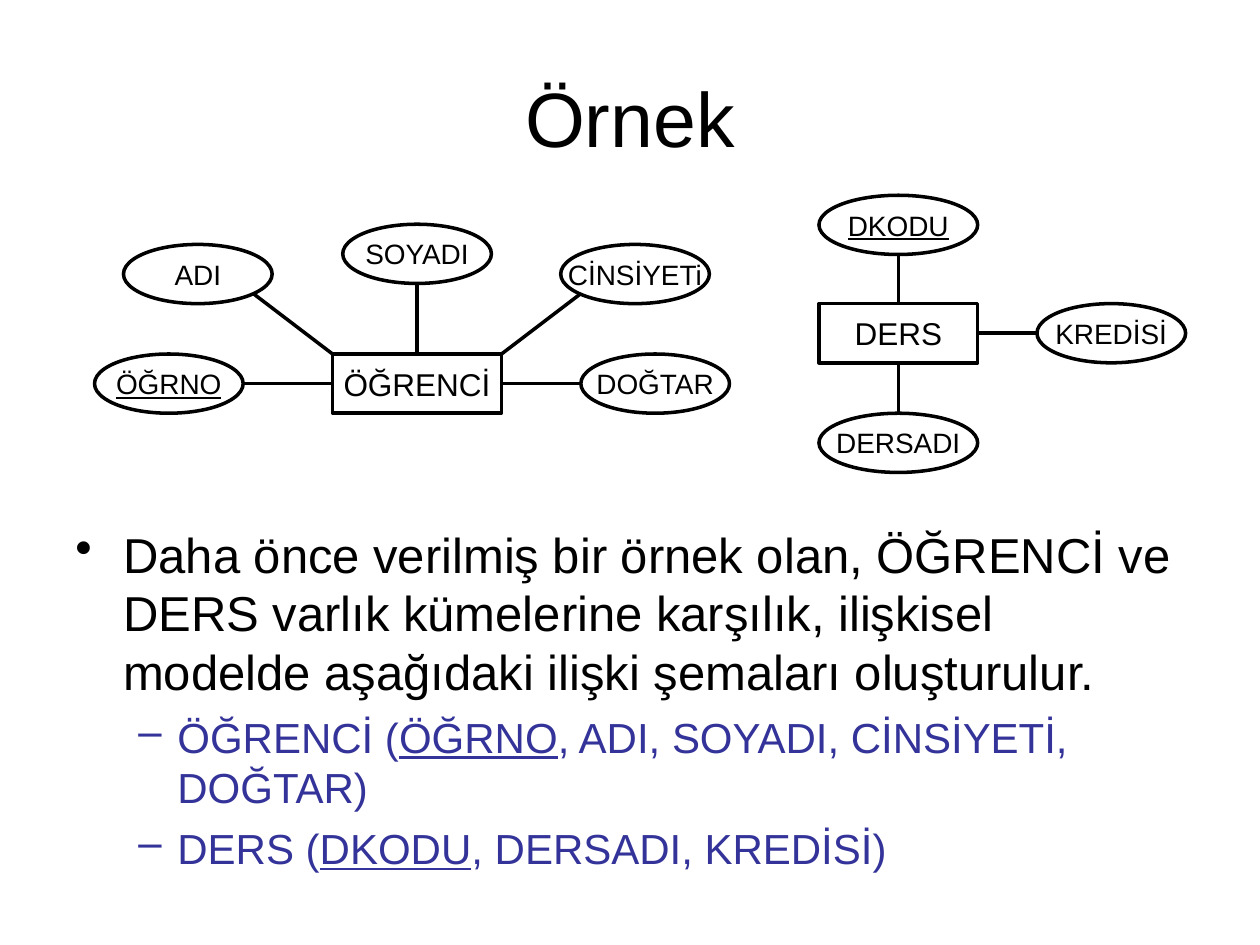
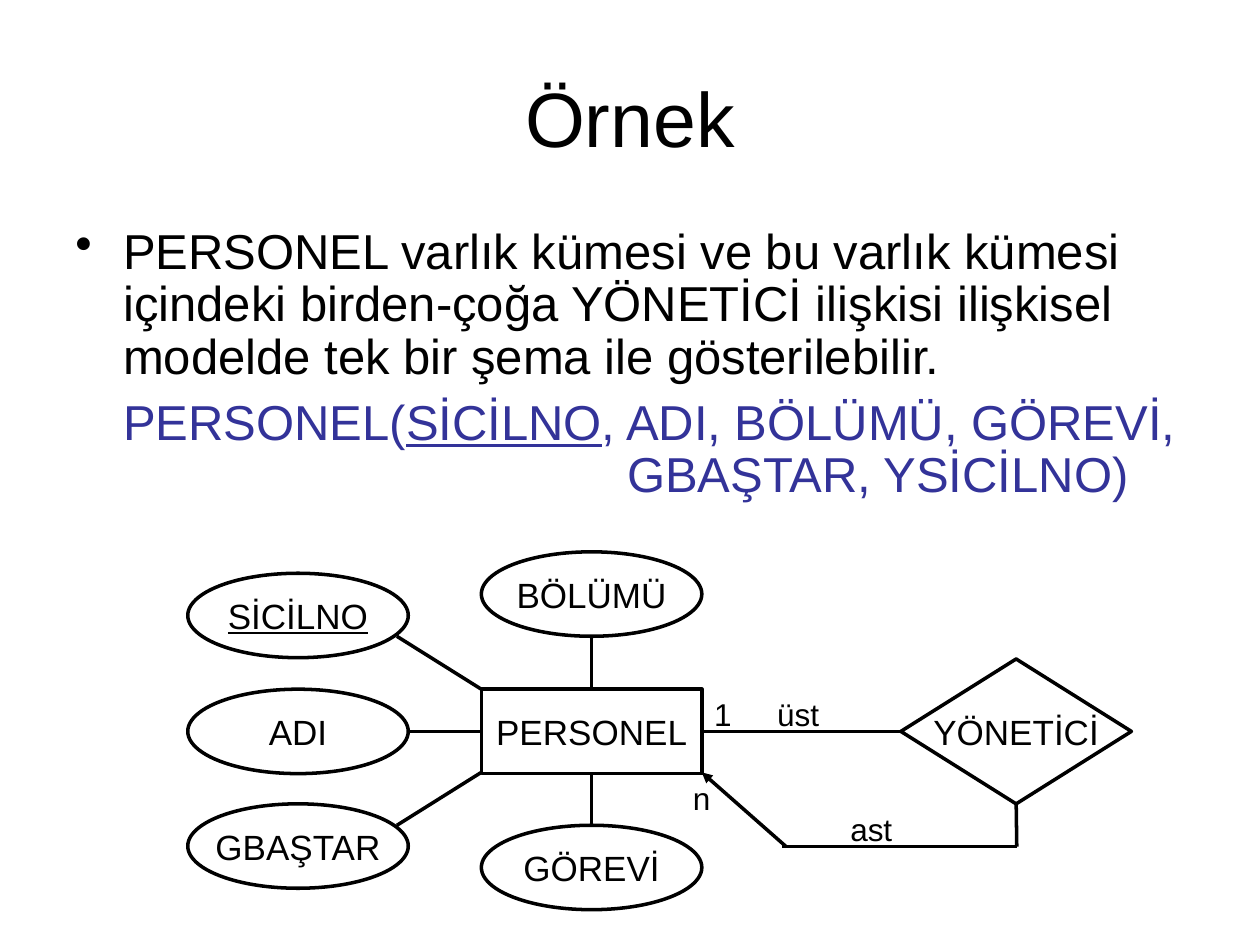
from lxml.etree import SubElement
from pptx import Presentation
from pptx.dml.color import RGBColor
from pptx.enum.shapes import MSO_CONNECTOR, MSO_SHAPE
from pptx.enum.text import MSO_ANCHOR, PP_ALIGN
from pptx.oxml.ns import qn
from pptx.util import Inches, Pt

COLORS = {"ink": "000000", "schema": "333399", "page": "FFFFFF"}
FONT = "Arial"
TOP, LEFT, BOTTOM, RIGHT = range(4)


def write(frame, text, *, size, color="ink", align=PP_ALIGN.LEFT, bullet=None,
          indent=0, hanging=0, before=0, spacing=None):
    """Add a paragraph in which the parts between underscores are underlined."""
    para = frame.paragraphs[0]
    if para.runs:
        para = frame.add_paragraph()
    props = para._p.get_or_add_pPr()
    props.set("marL", str(Inches(indent)))
    props.set("indent", str(-Inches(hanging)))
    if bullet:
        tint = SubElement(props, qn("a:buClr"))
        SubElement(tint, qn("a:srgbClr"), val=COLORS[color])
        SubElement(props, qn("a:buChar"), char=bullet)
    para.alignment = align
    para.space_before = Pt(before)
    if spacing:
        para.line_spacing = spacing
    for index, part in enumerate(text.split("_")):
        if part:
            span = para.add_run()
            span.text = part
            span.font.name = FONT
            span.font.size = Pt(size)
            span.font.color.rgb = RGBColor.from_string(COLORS[color])
            span.font.underline = index % 2 == 1


def add_box(page, left, top, width, height, anchor=MSO_ANCHOR.TOP):
    """Add a wrapping text box and return its text frame."""
    box = page.shapes.add_textbox(Inches(left), Inches(top), Inches(width), Inches(height))
    frame = box.text_frame
    frame.word_wrap = True
    frame.vertical_anchor = anchor
    return frame


def add_page(deck, title):
    """Add a blank page with the shared title."""
    page = deck.slides.add_slide(deck.slide_layouts[6])
    page.background.fill.solid()
    page.background.fill.fore_color.rgb = RGBColor.from_string(COLORS["page"])
    frame = add_box(page, 0.5, 0.3, 9, 1.25, MSO_ANCHOR.MIDDLE)
    write(frame, title, size=44, align=PP_ALIGN.CENTER)
    return page


def add_node(page, kind, text, left, top, width, height, size):
    """Add an outlined, labelled node of a diagram."""
    node = page.shapes.add_shape(kind, Inches(left), Inches(top), Inches(width), Inches(height))
    node.shadow.inherit = False
    node.fill.background()
    node.line.color.rgb = RGBColor.from_string(COLORS["ink"])
    node.line.width = Pt(2)
    node.text_frame.word_wrap = False
    node.text_frame.vertical_anchor = MSO_ANCHOR.MIDDLE
    write(node.text_frame, text, size=size, align=PP_ALIGN.CENTER)
    return node


def add_line(page, start, end, arrow=False):
    """Draw a line between two points, with an optional arrowhead at the start."""
    line = page.shapes.add_connector(MSO_CONNECTOR.STRAIGHT, *start, *end)
    line.line.color.rgb = RGBColor.from_string(COLORS["ink"])
    line.line.width = Pt(2)
    if arrow:
        SubElement(line.line._get_or_add_ln(), qn("a:headEnd"), type="triangle")
    SubElement(line._element.spPr, qn("a:effectLst"))
    return line


def point(left, top):
    """Return a point given in inches."""
    return Inches(left), Inches(top)


def middle(node, side):
    """Return the middle of a side of a node."""
    across = {LEFT: 0, RIGHT: node.width}.get(side, node.width // 2)
    down = {TOP: 0, BOTTOM: node.height}.get(side, node.height // 2)
    return node.left + across, node.top + down


def join(page, entity, side, other):
    """Join a side of an entity to the facing side of another node."""
    facing = (side + 2) % 4
    line = add_line(page, middle(entity, side), middle(other, facing))
    line.begin_connect(entity, side)
    if other.auto_shape_type == MSO_SHAPE.DIAMOND:
        line.end_connect(other, facing)


def add_entity(page, name, left, top, width, height, size, oval_size, attributes):
    """Add an entity with attributes, each joined to a side unless that is None."""
    entity = add_node(page, MSO_SHAPE.RECTANGLE, name, left, top, width, height, size)
    for text, x, y, oval_width, side in attributes:
        oval = add_node(page, MSO_SHAPE.OVAL, text, x, y, oval_width, height, oval_size)
        if side is not None:
            join(page, entity, side, oval)
    return entity


def add_student_page(deck):
    """Build the page on the student and course entities."""
    page = add_page(deck, "Örnek")
    body = add_box(page, 0.5, 4.11, 9, 2.94)
    write(body, "Daha önce verilmiş bir örnek olan, ÖĞRENCİ ve DERS varlık kümelerine "
          "karşılık, ilişkisel modelde aşağıdaki ilişki şemaları oluşturulur.",
          size=28, bullet="•", indent=0.38, hanging=0.38)
    for schema in ("ÖĞRENCİ (_ÖĞRNO_, ADI, SOYADI, CİNSİYETİ, DOĞTAR)",
                   "DERS (_DKODU_, DERSADI, KREDİSİ)"):
        write(body, schema, size=24, color="schema", bullet="–",
              indent=0.81, hanging=0.31, before=6)

    add_entity(page, "ÖĞRENCİ", 2.64, 2.81, 1.34, 0.47, 18, 16, [
        ("ADI", 0.98, 1.94, 1.18, None),
        ("SOYADI", 2.72, 1.78, 1.18, TOP),
        ("CİNSİYETi", 4.45, 1.94, 1.18, None),
        ("_ÖĞRNO_", 0.75, 2.81, 1.18, LEFT),
        ("DOĞTAR", 4.61, 2.81, 1.18, RIGHT)])
    for oval_x, corner_x in ((2.01, 2.64), (4.61, 3.98)):
        add_line(page, point(oval_x, 2.33), point(corner_x, 2.81))
    add_entity(page, "DERS", 6.5, 2.41, 1.26, 0.47, 18, 16, [
        ("_DKODU_", 6.5, 1.55, 1.26, TOP),
        ("DERSADI", 6.5, 3.28, 1.26, BOTTOM),
        ("KREDİSİ", 8.23, 2.41, 1.18, RIGHT)])


def add_staff_page(deck):
    """Build the page on the staff entity and its manager relation."""
    page = add_page(deck, "Örnek")
    body = add_box(page, 0.5, 1.75, 9, 2.47)
    write(body, "PERSONEL varlık kümesi ve bu varlık kümesi içindeki birden-çoğa YÖNETİCİ "
          "ilişkisi ilişkisel modelde tek bir şema ile gösterilebilir.",
          size=28, bullet="•", indent=0.38, hanging=0.38, spacing=0.9)
    write(body, "PERSONEL(_SİCİLNO_, ADI, BÖLÜMÜ, GÖREVİ,", size=28, color="schema",
          indent=0.38, before=7, spacing=0.9)
    write(body, "GBAŞTAR, YSİCİLNO)", size=28, color="schema", indent=4.38, spacing=0.9)

    staff = add_entity(page, "PERSONEL", 3.82, 5.47, 1.75, 0.67, 20, 20, [
        ("_SİCİLNO_", 1.49, 4.55, 1.75, None),
        ("ADI", 1.49, 5.47, 1.75, LEFT),
        ("GBAŞTAR", 1.49, 6.38, 1.75, None),
        ("BÖLÜMÜ", 3.82, 4.38, 1.75, TOP),
        ("GÖREVİ", 3.82, 6.55, 1.75, BOTTOM)])
    for oval_y, corner_y in ((5.05, 5.47), (6.55, 6.13)):
        add_line(page, point(3.15, oval_y), point(3.82, corner_y))

    manager = add_node(page, MSO_SHAPE.DIAMOND, "YÖNETİCİ", 7.15, 5.23, 1.83, 1.15, 20)
    join(page, staff, RIGHT, manager)
    drop = add_line(page, middle(manager, BOTTOM), point(8.07, 6.72))
    drop.begin_connect(manager, BOTTOM)
    add_line(page, point(8.07, 6.72), point(6.21, 6.72))
    add_line(page, point(5.57, 6.13), point(6.24, 6.72), arrow=True)
    for text, left, top, width in (("üst", 6.07, 5.47, 0.67), ("ast", 6.65, 6.38, 0.67),
                                   ("1", 5.57, 5.47, 0.42), ("n", 5.4, 6.13, 0.42)):
        write(add_box(page, left, top, width, 0.4), text, size=18)


def main():
    """Build and save the deck."""
    deck = Presentation()
    deck.slide_width, deck.slide_height = Inches(10), Inches(7.5)
    add_student_page(deck)
    add_staff_page(deck)
    deck.save("out.pptx")


if __name__ == "__main__":
    main()
